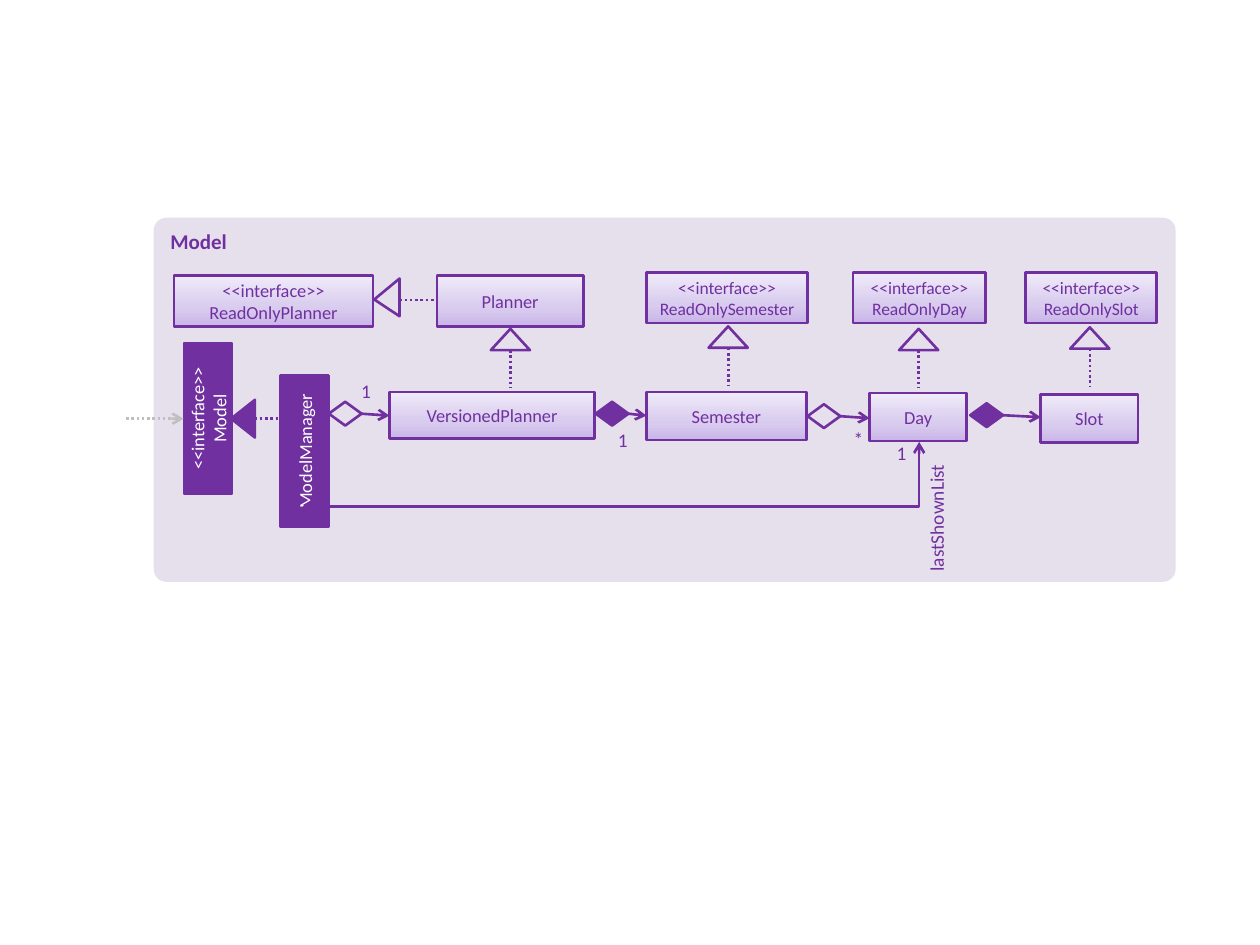
from dataclasses import dataclass

from lxml import etree
from copy import deepcopy
from pptx import Presentation
from pptx.dml.color import RGBColor
from pptx.enum.dml import MSO_LINE
from pptx.enum.shapes import MSO_CONNECTOR, MSO_SHAPE
from pptx.enum.text import MSO_ANCHOR, PP_ALIGN
from pptx.oxml.ns import qn
from pptx.util import Cm, Pt

RECT = MSO_SHAPE.RECTANGLE
ROUND = MSO_SHAPE.ROUNDED_RECTANGLE
TRIANGLE = MSO_SHAPE.ISOSCELES_TRIANGLE
DIAMOND = MSO_SHAPE.FLOWCHART_DECISION
STRAIGHT = MSO_CONNECTOR.STRAIGHT
ELBOW = MSO_CONNECTOR.ELBOW
DOTS = MSO_LINE.ROUND_DOT
LEFT, CENTER, RIGHT = PP_ALIGN.LEFT, PP_ALIGN.CENTER, PP_ALIGN.RIGHT
TOP, MIDDLE = MSO_ANCHOR.TOP, MSO_ANCHOR.MIDDLE


@dataclass(frozen=True)
class Theme:
    font: str = "Calibri"
    ink: str = "7030A0"
    panel: str = "E6E0EC"
    white: str = "FFFFFF"
    gray: str = "BFBFBF"
    fade: tuple = ((0, "C9B5E8"), (0.35, "D8CBEE"), (1, "F0EAF9"))
    title: float = 12
    body: float = 10.5
    small: float = 10
    label: float = 11
    line: float = 1.5


THEME = Theme()


def rgb(color):
    return RGBColor.from_string(color)


def write(frame, text, size, color, align=CENTER, anchor=MIDDLE, bold=False):
    frame.text = text
    frame.word_wrap = True
    frame.vertical_anchor = anchor
    for para in frame.paragraphs:
        para.alignment = align
        para.font.name = THEME.font
        para.font.size = Pt(size)
        para.font.bold = bold
        para.font.color.rgb = rgb(color)


def add_shape(slide, kind, x, y, w, h, fill=None, line=THEME.ink, turn=0):
    shape = slide.shapes.add_shape(kind, Cm(x), Cm(y), Cm(w), Cm(h))
    shape.shadow.inherit = False
    shape.rotation = turn
    if fill:
        shape.fill.solid()
        shape.fill.fore_color.rgb = rgb(fill)
    else:
        shape.fill.background()
    if line:
        shape.line.color.rgb = rgb(line)
        shape.line.width = Pt(THEME.line)
    else:
        shape.line.fill.background()
    return shape


def add_panel(slide, text):
    panel = add_shape(slide, ROUND, 3.1, 4.39, 20.6, 7.34, THEME.panel, None)
    panel.adjustments[0] = 0.035
    title = slide.shapes.title
    title.element.addprevious(panel.element)
    title.left, title.top = Cm(3.18), Cm(4.47)
    title.width, title.height = Cm(4), Cm(0.8)
    write(title.text_frame, text, THEME.title, THEME.ink, LEFT, TOP, True)


def add_class(slide, text, x, y, w, h, size=THEME.body):
    box = add_shape(slide, RECT, x, y, w, h)
    box.fill.gradient()
    box.fill.gradient_angle = 90
    stops = box.element.spPr.find(".//" + qn("a:gsLst"))
    stops.append(deepcopy(stops[-1]))
    for stop, (place, color) in zip(box.fill.gradient_stops, THEME.fade):
        stop.position = place
        stop.color.rgb = rgb(color)
    write(box.text_frame, text, size, THEME.ink)


def add_tower(slide, text, x, y):
    box = add_shape(slide, RECT, x, y, 3.05, 0.97, THEME.ink, turn=270)
    write(box.text_frame, text, THEME.body, THEME.white)


def add_line(slide, x1, y1, x2, y2, color=THEME.ink, dash=None, arrow=False, kind=STRAIGHT):
    link = slide.shapes.add_connector(kind, Cm(x1), Cm(y1), Cm(x2), Cm(y2))
    link.line.color.rgb = rgb(color)
    link.line.width = Pt(THEME.line)
    if dash:
        link.line.dash_style = dash
    if arrow:
        etree.SubElement(link.line._get_or_add_ln(), qn("a:tailEnd"), type="arrow")
    etree.SubElement(link.element.spPr, qn("a:effectLst"))
    return link


def add_bend(slide):
    link = add_line(slide, 13.18, 15.96, 11.48, 3.56, arrow=True, kind=ELBOW)
    props = link.element.spPr
    props.find(qn("a:xfrm")).set("rot", "5400000")
    rules = props.find(".//" + qn("a:avLst"))
    etree.SubElement(rules, qn("a:gd"), name="adj1", fmla="val 23500")


def add_owner(slide, x, y, end, fill=None):
    wide, high = 0.66, 0.48
    add_line(slide, x + wide, y + high / 2, end, y + high / 2 + 0.04, arrow=True)
    add_shape(slide, DIAMOND, x, y, wide, high, fill)


def add_parent(slide, mid, y):
    wide, high = 0.79, 0.43
    add_line(slide, mid, y + high, mid, y + 1.2, dash=DOTS)
    add_shape(slide, TRIANGLE, mid - wide / 2, y, wide, high, THEME.panel)


def add_label(slide, text, x, y, w=0.53, h=0.51):
    box = slide.shapes.add_textbox(Cm(x), Cm(y), Cm(w), Cm(h))
    frame = box.text_frame
    frame.margin_left = frame.margin_right = 0
    frame.margin_top = frame.margin_bottom = 0
    write(frame, text, THEME.label, THEME.ink, anchor=TOP)


def add_role(slide, text):
    box = slide.shapes.add_textbox(Cm(17.55), Cm(10.08), Cm(2.67), Cm(0.74))
    box.rotation = 270
    write(box.text_frame, text, THEME.label, THEME.ink, RIGHT, TOP)


def main():
    deck = Presentation()
    deck.slide_width, deck.slide_height = Cm(25.4), Cm(19.05)
    slide = deck.slides.add_slide(deck.slide_layouts[5])

    add_panel(slide, "Model")
    add_tower(slide, "ModelManager", 4.62, 8.61)
    add_bend(slide)
    add_tower(slide, "<<interface>>\nModel", 2.67, 7.95)
    add_shape(slide, TRIANGLE, 4.52, 8.2, 0.76, 0.48, THEME.ink, turn=270)
    add_line(slide, 2.54, 8.44, 3.7, 8.44, THEME.gray, DOTS, True)
    add_line(slide, 5.13, 8.44, 5.74, 8.44, dash=DOTS)

    for text, x, y, w, h in (
        ("<<interface>>\vReadOnlyPlanner", 3.51, 5.56, 4.01, 1.02),
        ("Planner", 8.81, 5.56, 2.95, 1.02),
        ("VersionedPlanner", 7.85, 7.9, 4.14, 0.94),
        ("Semester", 13.03, 7.9, 3.23, 0.97),
        ("Day", 17.53, 7.92, 1.96, 0.97),
        ("Slot", 20.98, 7.95, 1.96, 0.97),
    ):
        add_class(slide, text, x, y, w, h)
    for name, x, w in (("Semester", 13.03, 3.25), ("Day", 17.2, 2.67), ("Slot", 20.68, 2.64)):
        add_class(slide, "<<interface>>\vReadOnly" + name, x, 5.49, w, 1.02, THEME.small)

    for x, y, end, fill in (
        (6.63, 8.1, 7.85, None),
        (12.01, 8.1, 13.03, THEME.ink),
        (16.28, 8.15, 17.53, None),
        (19.56, 8.13, 20.98, THEME.ink),
    ):
        add_owner(slide, x, y, end, fill)

    for mid, y in ((10.29, 6.63), (14.68, 6.58), (18.52, 6.63), (21.97, 6.6)):
        add_parent(slide, mid, y)
    side = add_shape(slide, TRIANGLE, 7.42, 5.74, 0.76, 0.51, THEME.panel, turn=270)
    side.adjustments[0] = 0.445
    add_line(slide, 8.05, 6.05, 8.81, 6.05, dash=DOTS)

    add_role(slide, "lastShownList")
    add_label(slide, "1", 7.14, 7.65, 0.48, 0.38)
    for text, x, y in (("1", 12.29, 8.64), ("*", 17.04, 8.61), ("1", 17.91, 8.89)):
        add_label(slide, text, x, y)
    deck.save("out.pptx")


main()
